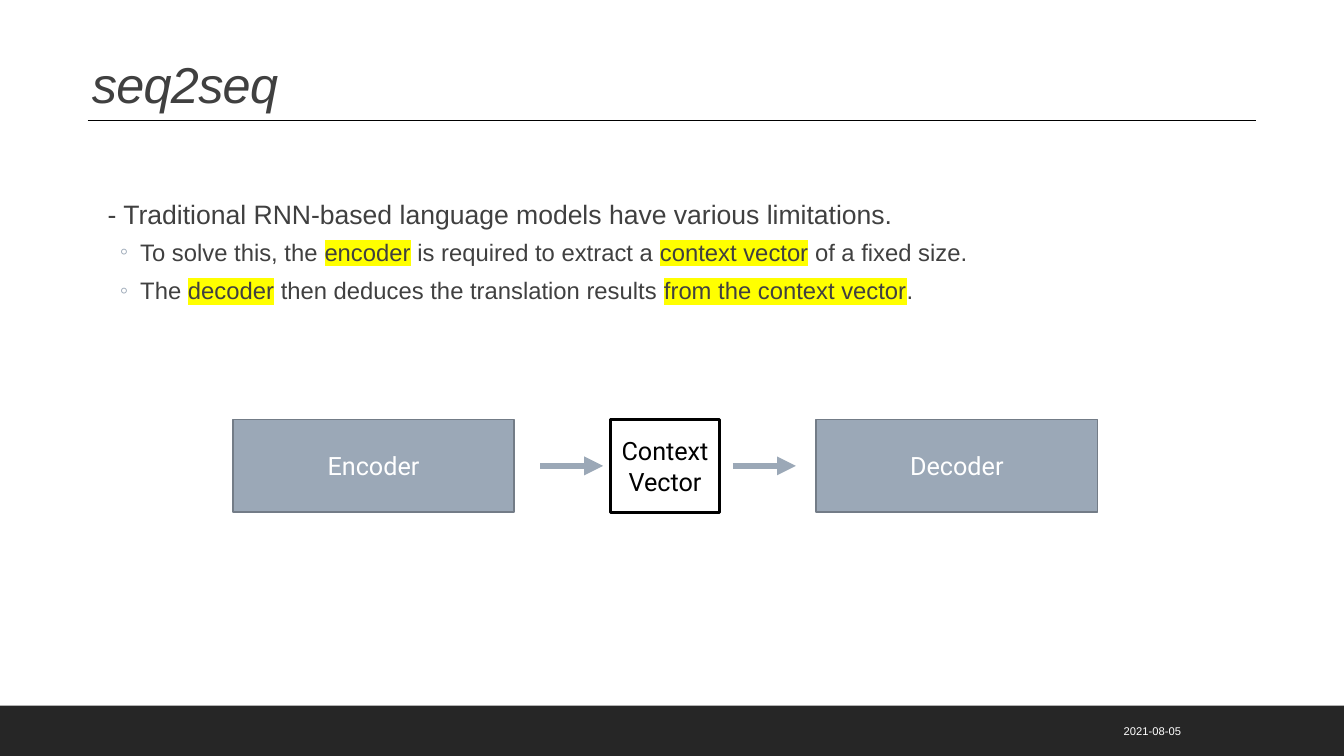
from lxml import etree
from pptx import Presentation
from pptx.dml.color import RGBColor
from pptx.enum.dml import MSO_LINE
from pptx.enum.shapes import MSO_CONNECTOR, MSO_SHAPE
from pptx.enum.text import MSO_ANCHOR, MSO_AUTO_SIZE, PP_ALIGN
from pptx.oxml.ns import qn
from pptx.util import Cm, Pt

RECT = MSO_SHAPE.RECTANGLE
STRAIGHT, ELBOW = MSO_CONNECTOR.STRAIGHT, MSO_CONNECTOR.ELBOW
SOLID = MSO_LINE.SOLID
TOP, MIDDLE, BOTTOM = MSO_ANCHOR.TOP, MSO_ANCHOR.MIDDLE, MSO_ANCHOR.BOTTOM
LEFT, CENTER, RIGHT = PP_ALIGN.LEFT, PP_ALIGN.CENTER, PP_ALIGN.RIGHT
NO_FIT = MSO_AUTO_SIZE.NONE

COLORS = {
    "text": "404040", "footer": "262626", "white": "FFFFFF", "black": "000000",
    "block": "9BA8B7", "block_edge": "737C87", "highlight": "FFFF00",
}

# Each run is (text, highlighted)
POINTS = [
    (0, [("- Traditional RNN-based language models have various limitations.", False)]),
    (1, [("To solve this, the ", False), ("encoder", True),
         (" is required to extract a ", False), ("context vector", True),
         (" of a fixed size.", False)]),
    (1, [("The ", False), ("decoder", True),
         (" then deduces the translation results ", False),
         ("from the context vector", True), (".", False)]),
]
# Per level: size, left margin, hanging indent, space before, space after, bullet
LEVELS = [(19, 0.25, 0.25, 0, 2, " "), (17, 1.07, 0.51, 2, 4, "◦")]

BLOCK_TOP, BLOCK_HEIGHT = 10.57, 2.34


def rgb(name):
    return RGBColor.from_string(COLORS[name])


def style_run(r, size, color, font="Arial"):
    r.font.size = Pt(size)
    r.font.name = font
    r.font.color.rgb = rgb(color)


def place(sp, left, top, width, height, anchor):
    sp.left, sp.top, sp.width, sp.height = Cm(left), Cm(top), Cm(width), Cm(height)
    tf = sp.text_frame
    tf.word_wrap = True
    tf.auto_size = NO_FIT
    tf.vertical_anchor = anchor
    return tf


def add_title(slide, text):
    tf = place(slide.shapes.title, 2.06, 1.24, 27.94, 1.78, BOTTOM)
    tf.text = text
    p = tf.paragraphs[0]
    p.alignment = LEFT
    p.line_spacing = 0.9
    r = p.runs[0]
    style_run(r, 36, "text")
    r.font.italic = True
    r._r.get_or_add_rPr().set("spc", "-50")


def set_bullet(p, char, margin, hanging):
    pPr = p._p.get_or_add_pPr()
    pPr.set("marL", str(Cm(margin)))
    pPr.set("indent", str(-Cm(hanging)))
    color = etree.SubElement(pPr, qn("a:buClr"))
    etree.SubElement(color, qn("a:srgbClr"), val=COLORS["block"])
    etree.SubElement(pPr, qn("a:buFont"), typeface="Arial")
    etree.SubElement(pPr, qn("a:buChar"), char=char)


def highlight(r):
    mark = etree.Element(qn("a:highlight"))
    etree.SubElement(mark, qn("a:srgbClr"), val=COLORS["highlight"])
    r._r.rPr.find(qn("a:solidFill")).addnext(mark)


def add_points(slide, points):
    tf = place(slide.placeholders[1], 2.21, 4.83, 27.94, 10.44, TOP)
    for i, (level, runs) in enumerate(points):
        size, margin, hanging, before, after, char = LEVELS[level]
        p = tf.add_paragraph() if i else tf.paragraphs[0]
        set_bullet(p, char, margin, hanging)
        p.level = level
        p.alignment = LEFT
        p.line_spacing = 1.05
        p.space_before, p.space_after = Pt(before), Pt(after)
        for text, marked in runs:
            r = p.add_run()
            r.text = text
            style_run(r, size, "text")
            if marked:
                highlight(r)


def add_rect(slide, left, top, width, height, fill):
    sp = slide.shapes.add_shape(RECT, Cm(left), Cm(top), Cm(width), Cm(height))
    sp.shadow.inherit = False
    sp.fill.solid()
    sp.fill.fore_color.rgb = rgb(fill)
    sp.line.fill.background()
    return sp


def add_block(slide, text, left, width, fill, edge, edge_width, color):
    sp = add_rect(slide, left, BLOCK_TOP, width, BLOCK_HEIGHT, fill)
    sp.line.color.rgb = rgb(edge)
    sp.line.width = Pt(edge_width)
    tf = sp.text_frame
    tf.word_wrap = True
    tf.vertical_anchor = MIDDLE
    tf.text = text
    tf.paragraphs[0].alignment = CENTER
    style_run(tf.paragraphs[0].runs[0], 18, color, "Roboto")


def add_line(slide, kind, x1, x2, y, color, width):
    line = slide.shapes.add_connector(kind, Cm(x1), Cm(y), Cm(x2), Cm(y))
    line.line.color.rgb = rgb(color)
    line.line.width = Pt(width)
    line.line.dash_style = SOLID
    etree.SubElement(line._element.spPr, qn("a:effectLst"))
    return line


def add_arrow(slide, left):
    y = BLOCK_TOP + BLOCK_HEIGHT / 2
    arrow = add_line(slide, ELBOW, left, left + 1.59, y, "block", 4.5)
    etree.SubElement(arrow.line._get_or_add_ln(), qn("a:tailEnd"), type="triangle")


def add_footer(slide, date):
    add_rect(slide, 0, 17.78, 33.87, 1.27, "footer")
    box = slide.shapes.add_textbox(0, 0, 0, 0)
    tf = place(box, 22.83, 17.91, 7.19, 1.02, MIDDLE)
    tf.text = date
    tf.paragraphs[0].alignment = RIGHT
    style_run(tf.paragraphs[0].runs[0], 8, "white")


def main():
    prs = Presentation()
    prs.slide_width, prs.slide_height = Cm(33.87), Cm(19.05)
    slide = prs.slides.add_slide(prs.slide_layouts[1])

    # Footer, title and rule
    add_footer(slide, "2021-08-05")
    add_title(slide, "seq2seq")
    add_line(slide, STRAIGHT, 2.21, 31.65, 3.03, "black", 1)

    # Explanation
    add_points(slide, POINTS)

    # Encoder to decoder diagram
    for text, left in (("Encoder", 5.87), ("Decoder", 20.57)):
        add_block(slide, text, left, 7.09, "block", "block_edge", 1.25, "white")
    add_block(slide, "Context Vector", 15.39, 2.74, "white", "black", 2.25, "black")
    for left in (13.61, 18.47):
        add_arrow(slide, left)

    prs.save("out.pptx")


if __name__ == "__main__":
    main()
